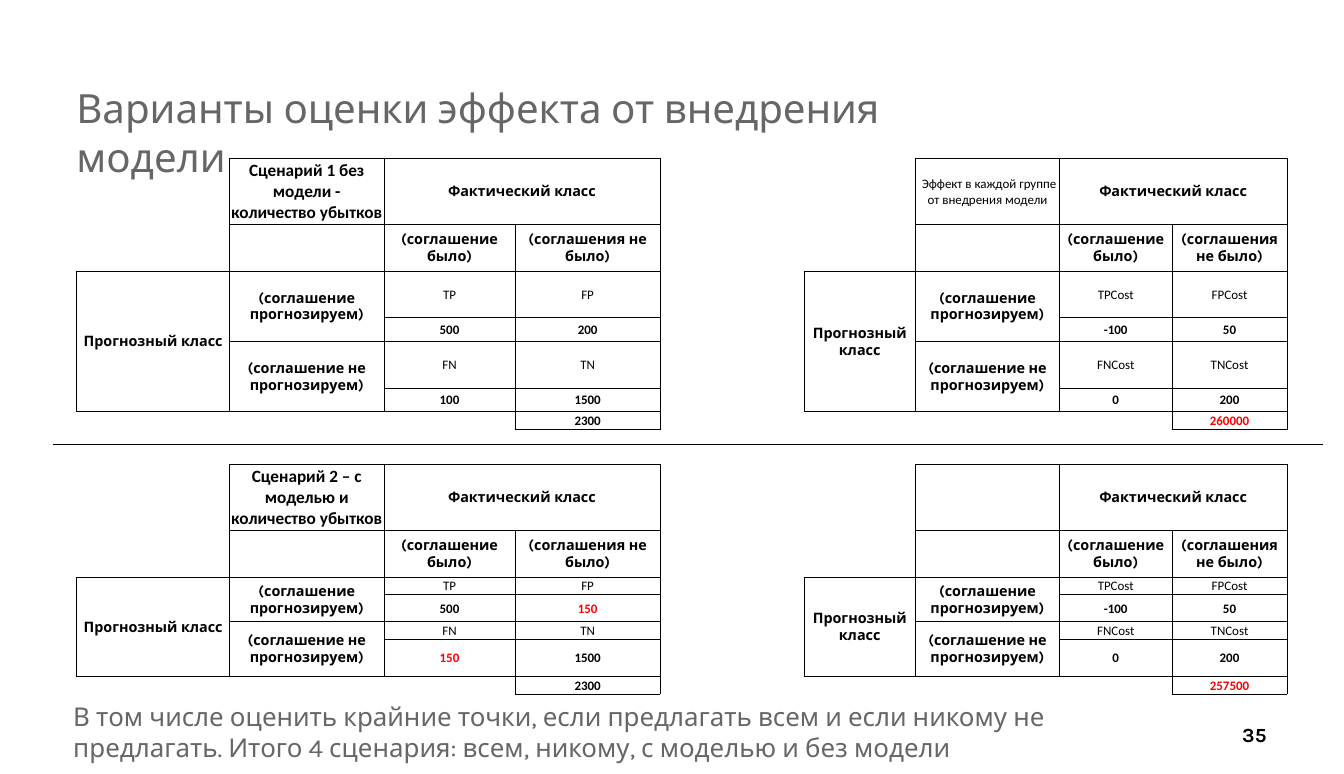
from lxml import etree
from pptx import Presentation
from pptx.dml.color import RGBColor
from pptx.enum.shapes import MSO_CONNECTOR
from pptx.enum.text import MSO_ANCHOR, PP_ALIGN
from pptx.oxml.ns import qn
from pptx.util import Inches, Pt

BLACK = RGBColor(0, 0, 0)
GREY = RGBColor(0x66, 0x66, 0x66)
RED = RGBColor(0xFF, 0, 0)
STRAIGHT = MSO_CONNECTOR.STRAIGHT
MIDDLE = MSO_ANCHOR.MIDDLE
LEFT, CENTER, RIGHT = PP_ALIGN.LEFT, PP_ALIGN.CENTER, PP_ALIGN.RIGHT

COLUMNS = [1.48, 1.49, 1.27, 1.4, 1.39, 1.08, 1.39, 1.09, 1.11]
ROWS = [0.64, 0.45, 0.45, 0.23, 0.45, 0.23, 0.17, 0.17,
        0.17, 0.64, 0.45, 0.17, 0.26, 0.17, 0.36, 0.17]
SIDES = {"lnL": (0, -1), "lnR": (0, 1), "lnT": (-1, 0), "lnB": (1, 0)}

HEADINGS = [
    (0, 2, 1, 2, "Фактический класс"),
    (1, 2, 1, 1, "(соглашение было)"),
    (1, 3, 1, 1, "(соглашения не было)"),
    (2, 0, 4, 1, "Прогнозный класс"),
    (2, 1, 2, 1, "(соглашение прогнозируем)"),
    (4, 1, 2, 1, "(соглашение не прогнозируем)"),
]
OUTCOMES = [(2, 2, "TP"), (2, 3, "FP"), (4, 2, "FN"), (4, 3, "TN")]
FRAMED = ([(row, column) for row in (0, 1) for column in (1, 2, 3)]
          + [(row, column) for row in range(2, 6) for column in range(4)]
          + [(6, 3)])

MATRICES = [
    (0, 0, "Сценарий 1 без модели - количество убытков", 12, True, "",
     ["500", "200", "100", "1500"], "2300", []),
    (0, 5, " Эффект в каждой группе от внедрения модели", 9, False, "Cost",
     ["-100", "50", "0", "200"], "260000", ["260000"]),
    (9, 0, "Сценарий 2 – с моделью и количество убытков", 12, True, "",
     ["500", "150", "150", "1500"], "2300", ["150"]),
    (9, 5, "", 9, False, "Cost",
     ["-100", "50", "0", "200"], "257500", ["257500"]),
]


class Page:
    heading_font = "Karla"
    table_font = "Calibri"

    def __init__(self, deck):
        self.slide = deck.slides.add_slide(deck.slide_layouts[6])

    def style(self, paragraph, size, color, font, bold, align):
        paragraph.alignment = align
        for span in paragraph.runs:
            span.font.size = Pt(size)
            span.font.name = font
            span.font.bold = bold
            span.font.color.rgb = color

    def text(self, left, top, width, height, words, size, color,
             bold=False, align=LEFT):
        box = self.slide.shapes.add_textbox(
            Inches(left), Inches(top), Inches(width), Inches(height))
        frame = box.text_frame
        frame.word_wrap = True
        frame.text = words
        self.style(frame.paragraphs[0],
                   size, color, self.heading_font, bold, align)

    def line(self, left, top, right, bottom):
        rule = self.slide.shapes.add_connector(
            STRAIGHT, Inches(left), Inches(top), Inches(right), Inches(bottom))
        rule.line.color.rgb = BLACK
        rule.line.width = Pt(0.75)
        etree.SubElement(rule._element.spPr, qn("a:effectLst"))

    def grid(self, left, top, columns, rows, framed):
        table = self.slide.shapes.add_table(
            len(rows), len(columns), Inches(left), Inches(top),
            Inches(sum(columns)), Inches(sum(rows))).table
        table.first_row = table.horz_banding = False
        for column, width in zip(table.columns, columns):
            column.width = Inches(width)
        for row, height in zip(table.rows, rows):
            row.height = Inches(height)
        for row in range(len(rows)):
            for column in range(len(columns)):
                self.prepare_cell(table.cell(row, column), row, column, framed)
        return table

    def prepare_cell(self, cell, row, column, framed):
        cell.margin_left = cell.margin_right = cell.margin_bottom = 0
        cell.margin_top = Inches(0.01)
        cell.vertical_anchor = MIDDLE
        ending = etree.SubElement(
            cell.text_frame.paragraphs[0]._p, qn("a:endParaRPr"), sz="800")
        etree.SubElement(ending, qn("a:latin"), typeface=self.table_font)
        properties = cell._tc.get_or_add_tcPr()
        for side, (down, across) in SIDES.items():
            edge = etree.SubElement(properties, qn("a:" + side), w=str(Pt(0.5)))
            if {(row, column), (row + down, column + across)} & framed:
                fill = etree.SubElement(edge, qn("a:solidFill"))
                etree.SubElement(fill, qn("a:srgbClr"), val=str(BLACK))
            else:
                etree.SubElement(edge, qn("a:noFill"))
        cell.fill.background()

    def fill_cell(self, cell, words, size=9, font=table_font,
                  bold=True, color=BLACK):
        if words:
            cell.text_frame.text = words
            self.style(cell.text_frame.paragraphs[0],
                       size, color, font, bold, CENTER)

    def matrix(self, table, top, left, title, title_size, title_bold,
               suffix, values, total, highlights):
        self.fill_cell(table.cell(top, left + 1), title,
                       title_size, bold=title_bold)
        for row, column, height, width, words in HEADINGS:
            cell = table.cell(top + row, left + column)
            if height * width > 1:
                cell.merge(table.cell(top + row + height - 1,
                                      left + column + width - 1))
            self.fill_cell(cell, words, 10, self.heading_font)
        numbers = [(6, 3, total)]
        for (row, column, outcome), value in zip(OUTCOMES, values):
            self.fill_cell(table.cell(top + row, left + column),
                           outcome + suffix, bold=False)
            numbers.append((row + 1, column, value))
        for row, column, value in numbers:
            self.fill_cell(table.cell(top + row, left + column), value,
                           color=RED if value in highlights else BLACK)


def main():
    deck = Presentation()
    deck.slide_width = Inches(12.99)
    deck.slide_height = Inches(7.48)
    page = Page(deck)
    page.text(0.64, 0.76, 9.38, 0.63,
              "Варианты оценки эффекта от внедрения модели", 28, GREY)
    framed = {(top + row, left + column)
              for top, left, *_ in MATRICES for row, column in FRAMED}
    table = page.grid(0.74, 1.53, COLUMNS, ROWS, framed)
    for matrix in MATRICES:
        page.matrix(table, *matrix)
    page.text(9.31, 6.93, 3.03, 0.4, "35", 14, BLACK, bold=True, align=RIGHT)
    page.line(0.51, 4.3, 12.79, 4.3)
    page.text(0.61, 6.72, 10.67, 0.63,
              "В том числе оценить крайние точки, если предлагать всем и если "
              "никому не предлагать. Итого 4 сценария: всем, никому, с моделью "
              "и без модели", 18, GREY)
    deck.save("out.pptx")


if __name__ == "__main__":
    main()
